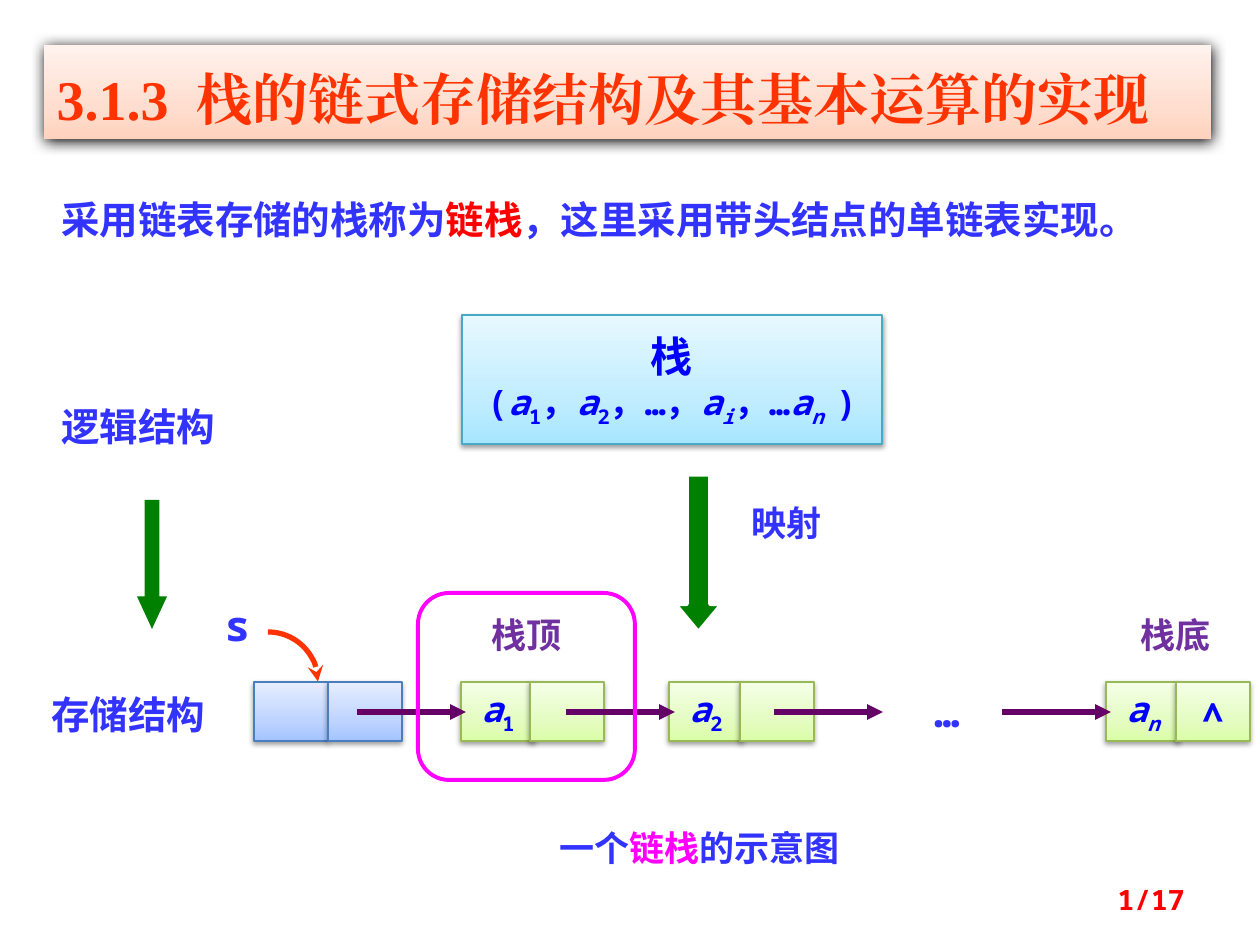
from typing import NamedTuple, Optional

from lxml.etree import SubElement
from pptx import Presentation
from pptx.dml.color import RGBColor
from pptx.enum.shapes import MSO_CONNECTOR, MSO_SHAPE
from pptx.enum.text import MSO_ANCHOR, MSO_AUTO_SIZE, PP_ALIGN
from pptx.oxml.ns import qn
from pptx.util import Inches, Pt

PX = Inches(1) / 126
BODY_FONT, TITLE_FONT = "Noto Sans Mono", "Times New Roman"

BLUE = RGBColor(0x33, 0x33, 0xFF)
PURE_BLUE = RGBColor(0x00, 0x00, 0xFF)
RED = RGBColor(0xFF, 0x00, 0x00)
ORANGE = RGBColor(0xFF, 0x33, 0x00)
GREEN = RGBColor(0x00, 0x80, 0x00)
PURPLE = RGBColor(0x70, 0x30, 0xA0)
PLUM = RGBColor(0x66, 0x00, 0x66)
MAGENTA = RGBColor(0xFF, 0x00, 0xFF)
WHITE = RGBColor(0xFF, 0xFF, 0xFF)
BLACK = RGBColor(0x00, 0x00, 0x00)


class Run(NamedTuple):
    text: str
    color: Optional[RGBColor] = None
    italic: bool = False
    subscript: bool = False


class Style(NamedTuple):
    """Gradient colours from bottom to top, and the outline."""
    bottom: RGBColor
    middle: RGBColor
    top: RGBColor
    line: Optional[RGBColor] = None


class Label(NamedTuple):
    left: int
    top: int
    width: int
    height: int
    runs: list
    size: int = 20
    color: RGBColor = BLUE
    align: PP_ALIGN = PP_ALIGN.CENTER


class Node(NamedTuple):
    data_left: int
    next_left: int
    style: Style
    data: tuple = ()
    next: tuple = ()


CYAN_STYLE = Style(RGBColor(0xA7, 0xE6, 0xFF), RGBColor(0xC1, 0xED, 0xFF),
                   RGBColor(0xE7, 0xF8, 0xFF), RGBColor(0x46, 0xAA, 0xC5))
HEAD_STYLE = Style(RGBColor(0xA4, 0xC4, 0xFF), RGBColor(0xBF, 0xD4, 0xFF),
                   RGBColor(0xE6, 0xEE, 0xFF), RGBColor(0x4B, 0x7E, 0xBC))
LIME_STYLE = Style(RGBColor(0xDA, 0xFD, 0xA7), RGBColor(0xE4, 0xFC, 0xC2),
                   RGBColor(0xF5, 0xFF, 0xE7), RGBColor(0x98, 0xB9, 0x55))
TITLE_STYLE = Style(RGBColor(0xFF, 0xD2, 0xBD), RGBColor(0xFF, 0xDE, 0xD0),
                    RGBColor(0xFF, 0xF2, 0xED))


def px(*lengths: int) -> list:
    return [round(length * PX) for length in lengths]


def element(index: str) -> tuple:
    """The italic letter a with a subscript."""
    return Run("a", italic=True), Run(index, italic=not index.isdigit(), subscript=True)


def write(paragraph, runs, *, size=20, color=BLUE, font=BODY_FONT,
          align=PP_ALIGN.CENTER) -> None:
    paragraph.alignment = align
    for item in runs:
        run = paragraph.add_run()
        run.text = item.text
        run.font.size, run.font.bold, run.font.italic = Pt(size), True, item.italic
        run.font.color.rgb = item.color or color
        run.font.name = font
        properties = run.font._element
        SubElement(properties, qn("a:ea"), typeface=font)
        if item.subscript:
            properties.set("baseline", "-25000")


def add_shadow(shape, opacity: int, blur: float, distance: float) -> None:
    shape.shadow.inherit = False
    effects = shape._element.spPr.find(qn("a:effectLst"))
    shadow = SubElement(effects, qn("a:outerShdw"), blurRad=str(Pt(blur)),
                        dist=str(Pt(distance)), dir="5400000", rotWithShape="0")
    color = SubElement(shadow, qn("a:srgbClr"), val=str(BLACK))
    SubElement(color, qn("a:alpha"), val=str(opacity * 1000))


def fill_gradient(shape, style: Style) -> None:
    shape.fill.gradient()
    shape.fill.gradient_angle = 90
    stops = shape._element.spPr.find(f".//{qn('a:gsLst')}")
    for stop in list(stops):
        stops.remove(stop)
    for position, color in zip((0, 35, 100), style):
        stop = SubElement(stops, qn("a:gs"), pos=str(position * 1000))
        SubElement(stop, qn("a:srgbClr"), val=str(color))


def add_figure(slide, kind, *box, fill=None, line=None, width=0.75, adjustments=()):
    shape = slide.shapes.add_shape(kind, *px(*box))
    shape.shadow.inherit = False
    for index, value in enumerate(adjustments):
        shape.adjustments[index] = value
    if fill is None:
        shape.fill.background()
    else:
        shape.fill.solid()
        shape.fill.fore_color.rgb = fill
    if line is None:
        shape.line.fill.background()
    else:
        shape.line.color.rgb, shape.line.width = line, Pt(width)
    return shape


def add_panel(slide, *box, style: Style, runs=()):
    panel = add_figure(slide, MSO_SHAPE.RECTANGLE, *box, line=style.line)
    fill_gradient(panel, style)
    add_shadow(panel, 38, 3.1, 1.6)
    panel.text_frame.word_wrap = False
    panel.text_frame.vertical_anchor = MSO_ANCHOR.MIDDLE
    write(panel.text_frame.paragraphs[0], runs, color=PURE_BLUE)
    return panel


def add_label(slide, label: Label) -> None:
    frame = slide.shapes.add_textbox(*px(*label[:4])).text_frame
    frame.word_wrap = True
    write(frame.paragraphs[0], label.runs, size=label.size, color=label.color,
          align=label.align)


def add_arrowhead(shape, kind: str) -> None:
    SubElement(shape.line._get_or_add_ln(), qn("a:tailEnd"), type=kind)


def add_link(slide, left: int) -> None:
    link = slide.shapes.add_connector(MSO_CONNECTOR.STRAIGHT, *px(left, 712, left + 109, 712))
    link.line.color.rgb, link.line.width = PLUM, Pt(3)
    add_arrowhead(link, "triangle")
    SubElement(link._element.spPr, qn("a:effectLst"))


def add_title(slide) -> None:
    title = slide.shapes.title
    title.left, title.top, title.width, title.height = px(44, 45, 1167, 94)
    fill_gradient(title, TITLE_STYLE)
    add_shadow(title, 100, 8.5, 1)
    frame = title.text_frame
    frame.auto_size, frame.word_wrap = MSO_AUTO_SIZE.NONE, True
    frame.vertical_anchor = MSO_ANCHOR.TOP
    paragraph = frame.paragraphs[0]
    paragraph.line_spacing = 1.2
    write(paragraph, [Run("3.1.3  栈的链式存储结构及其基本运算的实现")], size=32,
          color=ORANGE, font=TITLE_FONT, align=PP_ALIGN.LEFT)


LABELS = [
    Label(49, 190, 1140, 59, [Run("采用链表存储的栈称为"), Run("链栈", RED),
                              Run("，这里采用带头结点的单链表实现。")], 22, align=PP_ALIGN.LEFT),
    Label(49, 397, 217, 59, [Run("逻辑结构")], 22, align=PP_ALIGN.LEFT),
    Label(39, 685, 217, 59, [Run("存储结构")], 22, align=PP_ALIGN.LEFT),
    Label(723, 495, 127, 54, [Run("映射")]),
    Label(537, 820, 325, 55, [Run("一个"), Run("链栈", MAGENTA), Run("的示意图")]),
    Label(887, 679, 120, 63, [Run("…")], 24),
    Label(208, 593, 59, 63, [Run("s")], 24),
    Label(457, 607, 139, 55, [Run("栈顶")], color=PURPLE),
    Label(1106, 607, 139, 55, [Run("栈底")], color=PURPLE),
    Label(903, 876, 294, 50, [Run("1/17")], 16, RED, PP_ALIGN.RIGHT),
]
NODES = [
    Node(254, 328, HEAD_STYLE),
    Node(461, 530, LIME_STYLE, element("1")),
    Node(669, 740, LIME_STYLE, element("2")),
    Node(1106, 1176, LIME_STYLE, element("n"), (Run("∧"),)),
]


def main() -> None:
    presentation = Presentation()
    presentation.slide_width, presentation.slide_height = Inches(10), Inches(7.5)
    slide = presentation.slides.add_slide(presentation.slide_layouts[5])
    add_title(slide)

    # Logical structure and its mapping
    stack = add_panel(slide, 462, 315, 420, 129, style=CYAN_STYLE)
    write(stack.text_frame.paragraphs[0], [Run("栈")], size=24, color=PURE_BLUE)
    formula = [Run("("), *element("1"), Run("，"), *element("2"), Run("，…，"),
               *element("i"), Run("，…"), *element("n "), Run(")")]
    write(stack.text_frame.add_paragraph(), formula, color=PURE_BLUE)
    add_figure(slide, MSO_SHAPE.DOWN_ARROW, 674, 474, 49, 159, fill=GREEN,
               line=WHITE, width=3, adjustments=(0.5, 0.6))
    add_figure(slide, MSO_SHAPE.DOWN_ARROW, 137, 500, 30, 129, fill=GREEN,
               adjustments=(0.5, 1.08))

    # Linked nodes and their pointers
    for node in NODES:
        add_panel(slide, node.data_left, 682, 74, 59, style=node.style, runs=node.data)
        add_panel(slide, node.next_left, 682, 74, 59, style=node.style, runs=node.next)
    for left in (357, 566, 774, 1002):
        add_link(slide, left)
    pointer = add_figure(slide, MSO_SHAPE.ARC, 218, 632, 100, 99, line=ORANGE, width=3)
    add_arrowhead(pointer, "stealth")

    # Labels and the frame around the stack top
    for label in LABELS:
        add_label(slide, label)
    add_figure(slide, MSO_SHAPE.ROUNDED_RECTANGLE, 418, 593, 217, 187,
               line=MAGENTA, width=2.25)
    presentation.save("out.pptx")


if __name__ == "__main__":
    main()
